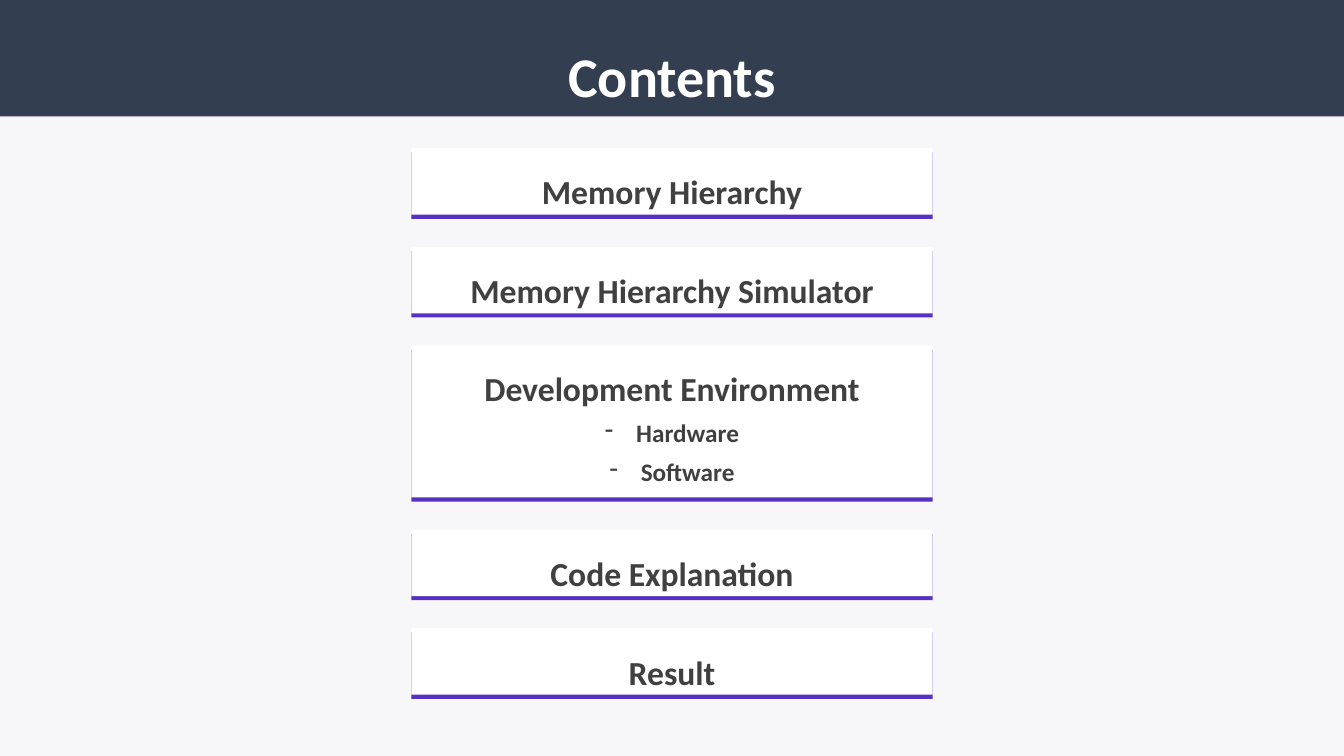
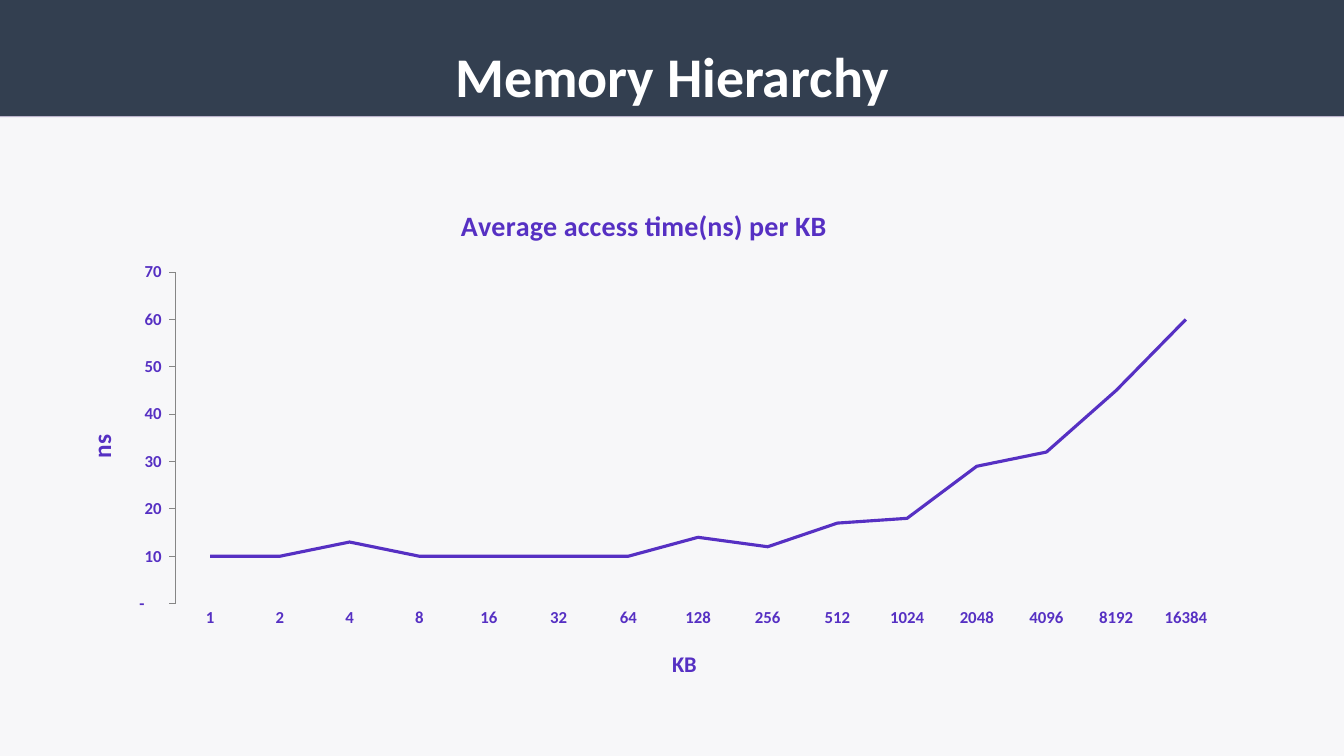
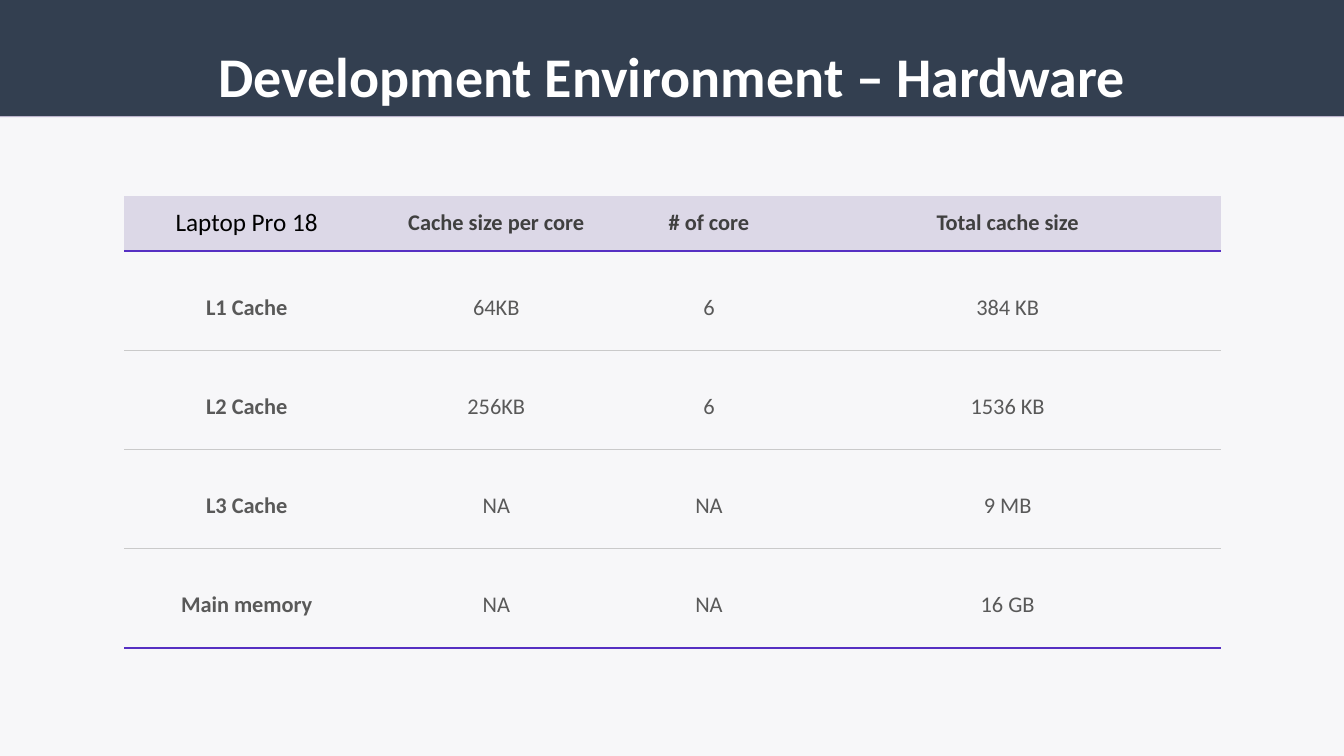
from lxml.etree import SubElement
from pptx import Presentation
from pptx.chart.data import CategoryChartData
from pptx.dml.color import RGBColor
from pptx.enum.chart import XL_CHART_TYPE as CT, XL_MARKER_STYLE as MARKER, XL_TICK_MARK as TICK
from pptx.enum.shapes import MSO_SHAPE
from pptx.enum.text import MSO_ANCHOR as ANCHOR, MSO_AUTO_SIZE, PP_ALIGN
from pptx.oxml.ns import qn
from pptx.util import Inches, Pt

FONT = "Calibri"
WIDTH, HEIGHT = Inches(13.33), Inches(7.5)
NAVY, WHITE, PAPER = "333F50", "FFFFFF", "F7F7F9"
PURPLE, MAUVE, LILAC = "5630C3", "BBB3CB", "DCD8E7"
BLACK, DARK, TEXT, RULE, AXIS = "000000", "404040", "595959", "CACACA", "868686"
NO_TABLE_STYLE = "{2D5ABB26-0587-4C30-8999-92F81FD0307C}"
NUMBER_FORMAT = '_(* #,##0_);_(* \\(#,##0\\);_(* "-"??_);_(@_)'

AGENDA = [
    ("Memory Hierarchy", []),
    ("Memory Hierarchy Simulator", []),
    ("Development Environment", ["Hardware", "Software"]),
    ("Code Explanation", []),
    ("Result", []),
]
ACCESS_TIMES = [10, 10, 13, 10, 10, 10, 10, 14, 12, 17, 18, 29, 32, 45, 60]
HARDWARE = [
    ["Laptop Pro 18", "Cache size per core", "# of core", "Total cache size"],
    ["L1 Cache", "64KB", "6", "384 KB"],
    ["L2 Cache", "256KB", "6", "1536 KB"],
    ["L3 Cache", "NA", "NA", "9 MB"],
    ["Main memory", "NA", "NA", "16 GB"],
]


def color(hex_text):
    """Turn a hex string into a colour."""
    return RGBColor.from_string(hex_text)


def across(percent):
    """Length as a percentage of the slide's width."""
    return int(WIDTH * percent / 100)


def down(percent):
    """Length as a percentage of the slide's height."""
    return int(HEIGHT * percent / 100)


def paint(fill, hex_text):
    """Apply a solid fill."""
    fill.solid()
    fill.fore_color.rgb = color(hex_text)


def style_font(font, size, hex_text, bold=True):
    """Format a font in the deck's typeface."""
    font.name, font.size, font.bold = FONT, Pt(size), bold
    font.color.rgb = color(hex_text)


def add_run(p, text, size, hex_text, bold=True, spacing=None):
    """Add a formatted run to a centred paragraph."""
    p.alignment = PP_ALIGN.CENTER
    p.line_spacing = spacing
    r = p.add_run()
    r.text = text
    style_font(r.font, size, hex_text, bold)


def add_solid(parent, tag, hex_text):
    """Append an element that holds an RGB colour."""
    SubElement(SubElement(parent, qn(tag)), qn("a:srgbClr"), val=hex_text)


def drop_shadow(sp, hex_text, points):
    """Give a shape a hard shadow straight below it."""
    sp.shadow.inherit = False
    effects = sp._element.spPr.find(qn("a:effectLst"))
    shadow = SubElement(effects, qn("a:outerShdw"), blurRad="0", dist=str(Pt(points)),
                        dir="5400000", algn="t", rotWithShape="0")
    SubElement(shadow, qn("a:srgbClr"), val=hex_text)


def add_titled_slide(prs, title):
    """Add a slide whose title placeholder forms the top band."""
    s = prs.slides.add_slide(prs.slide_layouts[5])
    sp = s.shapes.title
    sp.left, sp.top, sp.width, sp.height = 0, 0, WIDTH, down(15.33)
    paint(sp.fill, NAVY)
    drop_shadow(sp, MAUVE, 1)
    tf = sp.text_frame
    tf.auto_size, tf.vertical_anchor = MSO_AUTO_SIZE.NONE, ANCHOR.MIDDLE
    add_run(tf.paragraphs[0], title, 40, WHITE, spacing=1.5)
    return s


def add_dash(p):
    """Turn a paragraph into a dashed list item."""
    indent = Inches(0.31)
    pPr = p._p.get_or_add_pPr()
    pPr.set("marL", str(indent))
    pPr.set("indent", str(-indent))
    SubElement(pPr, qn("a:buChar"), char="-")


def add_card(s, top, height, heading, items):
    """Add an agenda card with an optional dashed list."""
    sp = s.shapes.add_shape(MSO_SHAPE.RECTANGLE, across(30.6), down(top),
                            across(38.8), down(height))
    paint(sp.fill, WHITE)
    sp.line.fill.background()
    drop_shadow(sp, PURPLE, 3)
    tf = sp.text_frame
    tf.word_wrap = True
    tf.vertical_anchor = ANCHOR.TOP if items else ANCHOR.MIDDLE
    if items:
        tf.margin_top = Inches(0.1)
    spacing = 1.3 if items else 1.5
    add_run(tf.paragraphs[0], heading, 24, DARK, spacing=spacing)
    for item in items:
        p = tf.add_paragraph()
        add_run(p, item, 18, DARK, spacing=spacing)
        add_dash(p)


def add_agenda(s):
    """Stack the agenda cards with equal gaps."""
    top, gap = 19.6, 4.25
    for heading, items in AGENDA:
        height = 20.1 if items else 8.8
        add_card(s, top, height, heading, items)
        top += height + gap


def set_layout(parent, **shares):
    """Place a chart part by shares of the chart area."""
    for old in parent.findall(qn("c:layout")):
        parent.remove(old)
    layout = parent.makeelement(qn("c:layout"), {})
    parent.insert(0 if parent.find(qn("c:tx")) is None else 1, layout)
    manual = SubElement(layout, qn("c:manualLayout"))
    if "w" in shares:
        SubElement(manual, qn("c:layoutTarget"), val="inner")
    for key in ("x", "y"):
        SubElement(manual, qn(f"c:{key}Mode"), val="edge")
    for key, share in shares.items():
        SubElement(manual, qn(f"c:{key}"), val=str(share))


def set_chart_title(title, text, size, **shares):
    """Write, and optionally place, a chart or axis title."""
    add_run(title.text_frame.paragraphs[0], text, size, PURPLE)
    if shares:
        set_layout(title._element, **shares)


def add_access_chart(s):
    """Add the line chart of access time by size."""
    data = CategoryChartData()
    data.categories = [str(2 ** n) for n in range(len(ACCESS_TIMES))]
    data.add_series("Series 1", ACCESS_TIMES)
    chart = s.shapes.add_chart(CT.LINE, across(3.22), down(24.53), across(89.4),
                               down(67.47), data).chart
    chart.has_legend = False
    chart.has_title = True
    chart.font.name, chart.font.size = FONT, Pt(10)
    set_chart_title(chart.chart_title, "Average access time(ns) per KB", 20)
    set_layout(chart._chartSpace.chart.plotArea, x=0.11, y=0.17, w=0.87, h=0.65)

    line = chart.plots[0].series[0]
    line.smooth = False
    line.marker.style = MARKER.NONE
    line.format.line.width = Pt(2.25)
    line.format.line.color.rgb = color(PURPLE)

    sizes, times = chart.category_axis, chart.value_axis
    for axis, tick in ((sizes, TICK.NONE), (times, TICK.OUTSIDE)):
        axis.has_major_gridlines = False
        axis.major_tick_mark, axis.minor_tick_mark = tick, TICK.NONE
        style_font(axis.tick_labels.font, 12, PURPLE)
    sizes.format.line.fill.background()
    times.format.line.color.rgb = color(AXIS)
    times.minimum_scale, times.maximum_scale, times.major_unit = 0, 70, 10
    times.tick_labels.number_format = NUMBER_FORMAT
    times.tick_labels.number_format_is_linked = False
    set_chart_title(sizes.axis_title, "KB", 16, x=0.52, y=0.9)
    set_chart_title(times.axis_title, "ns", 18, x=0.03, y=0.48)


def style_cell(cell, text, row, col):
    """Fill one cell according to its row and column."""
    header, last = row == 0, row == len(HARDWARE) - 1
    corner = header and col == 0
    cell.vertical_anchor = ANCHOR.MIDDLE
    cell.margin_left = Inches(0.24)
    border = SubElement(cell._tc.get_or_add_tcPr(), qn("a:lnB"), w=str(Pt(1)))
    add_solid(border, "a:solidFill", PURPLE if header or last else RULE)
    if header:
        paint(cell.fill, LILAC)
    else:
        cell.fill.background()
    hex_text = BLACK if corner else DARK if header else TEXT
    add_run(cell.text_frame.paragraphs[0], text, 18 if corner else 16, hex_text,
            bold=header != (col == 0), spacing=None if header else 1.5)


def add_hardware_table(s):
    """Add the table of cache sizes."""
    widths = [17.2, 19.95, 11.7, 32.75]
    heights = [7.33] + [13.13] * (len(HARDWARE) - 1)
    table = s.shapes.add_table(len(heights), len(widths), across(9.23), down(25.87),
                               across(sum(widths)), down(sum(heights))).table
    table.first_row = table.horz_banding = False
    table._tbl.tblPr.find(qn("a:tableStyleId")).text = NO_TABLE_STYLE
    for column, width in zip(table.columns, widths):
        column.width = across(width)
    for row, (texts, height) in enumerate(zip(HARDWARE, heights)):
        table.rows[row].height = down(height)
        for col, text in enumerate(texts):
            style_cell(table.cell(row, col), text, row, col)


def main():
    """Build and save the deck."""
    prs = Presentation()
    prs.slide_width, prs.slide_height = WIDTH, HEIGHT
    paint(prs.slide_master.background.fill, PAPER)
    add_agenda(add_titled_slide(prs, "Contents"))
    add_access_chart(add_titled_slide(prs, "Memory Hierarchy"))
    add_hardware_table(add_titled_slide(prs, "Development Environment – Hardware"))
    prs.save("out.pptx")


main()
